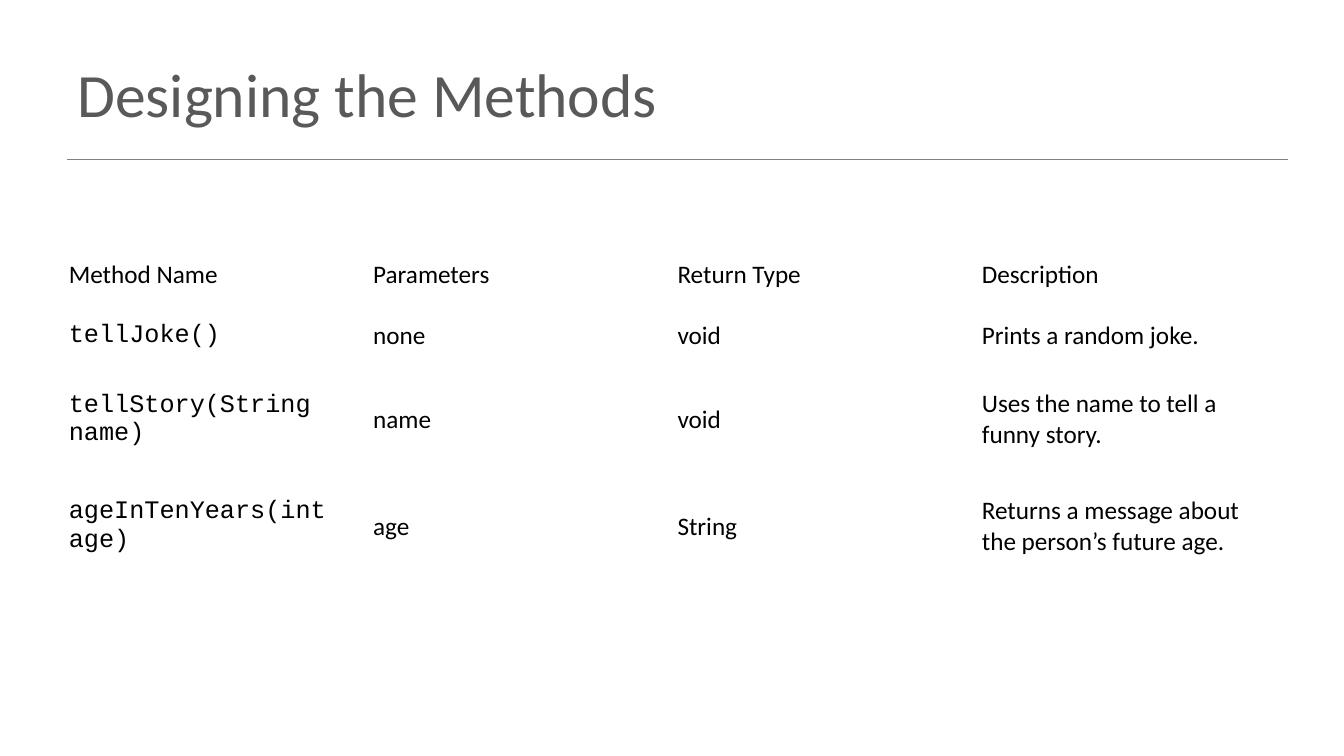
from dataclasses import dataclass

from lxml import etree
from pptx import Presentation
from pptx.dml.color import RGBColor
from pptx.enum.shapes import MSO_CONNECTOR
from pptx.enum.text import MSO_ANCHOR
from pptx.oxml.ns import qn
from pptx.util import Cm, Pt

STRAIGHT = MSO_CONNECTOR.STRAIGHT
MIDDLE = MSO_ANCHOR.MIDDLE


@dataclass(frozen=True)
class Theme:
    title_color: RGBColor = RGBColor(0x59, 0x59, 0x59)
    rule_color: RGBColor = RGBColor(0x80, 0x80, 0x80)
    body_color: RGBColor = RGBColor(0, 0, 0)
    body_font: str = "Calibri"
    code_font: str = "Courier New"
    title_size: Pt = Pt(44)
    body_size: Pt = Pt(18)
    rule_width: Pt = Pt(1)


THEME = Theme()

METHODS = [
    ("Method Name", "Parameters", "Return Type", "Description"),
    ("tellJoke()", "none", "void", "Prints a random joke."),
    ("tellStory(String name)", "name", "void", "Uses the name to tell a funny story."),
    ("ageInTenYears(int age)", "age", "String",
     "Returns a message about the person’s future age."),
]
COLUMN_WIDTH = Cm(7.67)
ROW_HEIGHTS = [Cm(1.54), Cm(1.54), Cm(2.69), Cm(2.69)]


def write(text_frame, text, font_name, size, color):
    text_frame.text = text
    font = text_frame.paragraphs[0].runs[0].font
    font.name = font_name
    font.size = size
    font.color.rgb = color


def add_title(slide, text):
    title = slide.shapes.add_textbox(Cm(1.7), Cm(0.76), Cm(30.48), Cm(3.18))
    title.text_frame.word_wrap = True
    title.text_frame.vertical_anchor = MIDDLE
    write(title.text_frame, text, THEME.body_font, THEME.title_size, THEME.title_color)


def add_rule(slide):
    rule = slide.shapes.add_connector(STRAIGHT, Cm(1.7), Cm(4.02), Cm(32.46), Cm(4.02))
    rule.line.color.rgb = THEME.rule_color
    rule.line.width = THEME.rule_width
    etree.SubElement(rule._element.spPr, qn("a:effectLst"))


def add_method_table(slide, methods):
    columns = len(methods[0])
    table = slide.shapes.add_table(
        len(methods), columns, Cm(1.48), Cm(6.15),
        COLUMN_WIDTH * columns, sum(ROW_HEIGHTS),
    ).table
    table.first_row = False
    table.horz_banding = False
    for column in table.columns:
        column.width = COLUMN_WIDTH
    for row, height in zip(table.rows, ROW_HEIGHTS):
        row.height = height

    for row_index, method in enumerate(methods):
        for column_index, text in enumerate(method):
            cell = table.cell(row_index, column_index)
            cell.fill.background()
            cell.vertical_anchor = MIDDLE
            # Method signatures below the header are set as code
            is_signature = row_index > 0 and column_index == 0
            font_name = THEME.code_font if is_signature else THEME.body_font
            write(cell.text_frame, text, font_name, THEME.body_size, THEME.body_color)


def main():
    deck = Presentation()
    deck.slide_width, deck.slide_height = Cm(33.87), Cm(19.05)
    slide = deck.slides.add_slide(deck.slide_layouts[6])

    # Heading
    add_rule(slide)
    add_title(slide, "Designing the Methods")

    # Method overview
    add_method_table(slide, METHODS)

    deck.save("out.pptx")


if __name__ == "__main__":
    main()
